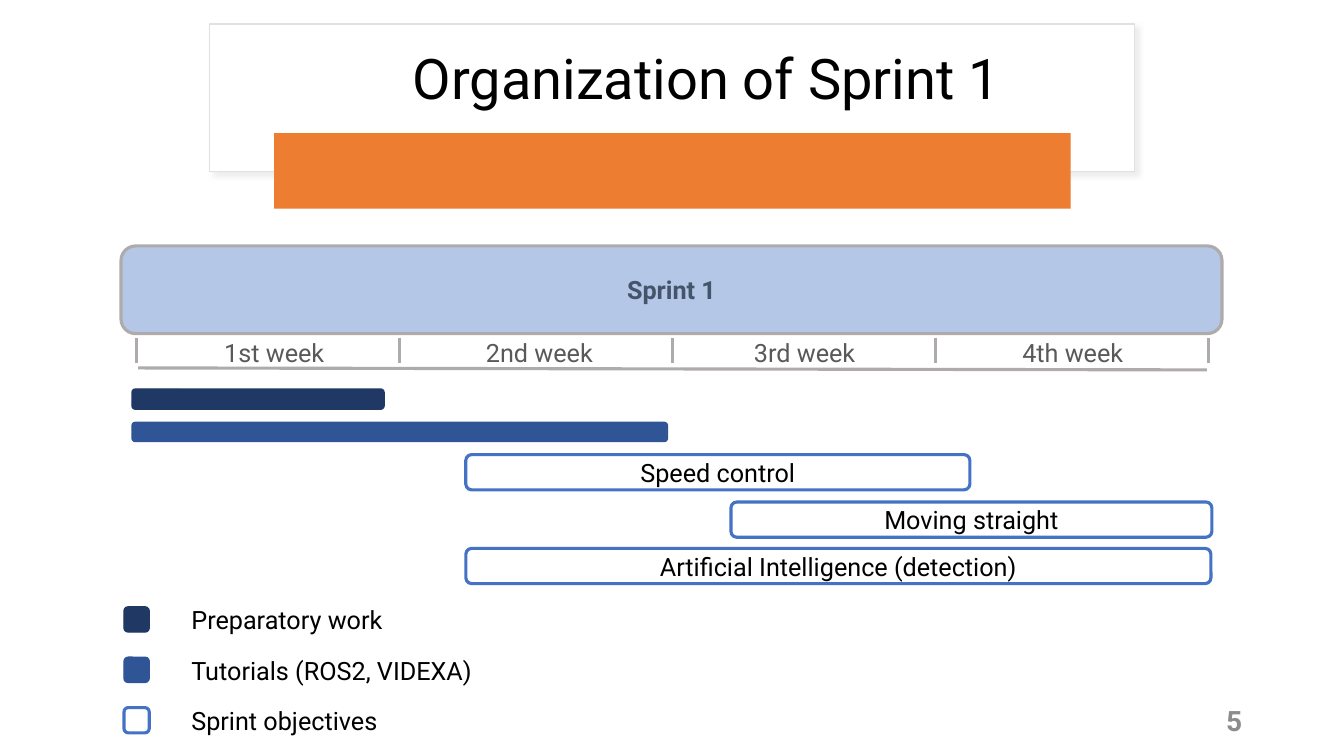
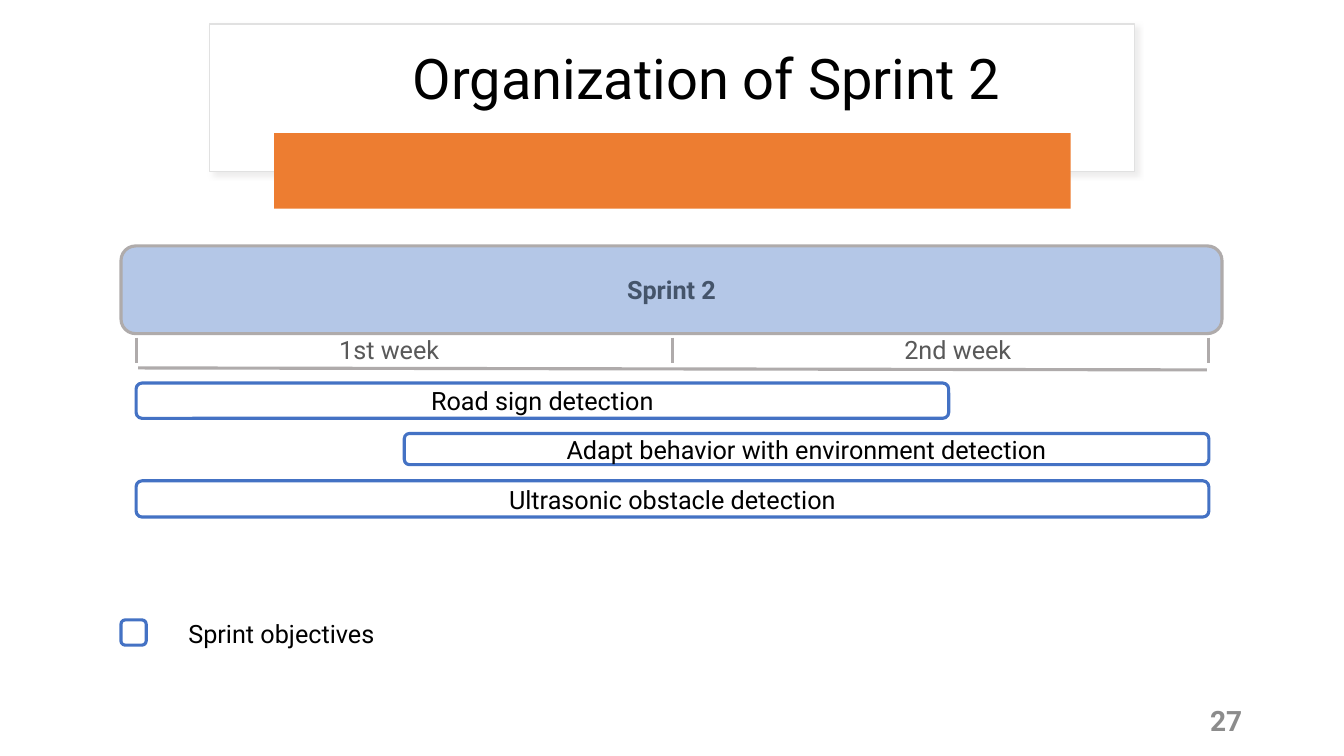
from typing import NamedTuple, Optional

from lxml import etree
from pptx import Presentation
from pptx.dml.color import RGBColor
from pptx.enum import shapes as kinds, text as enums
from pptx.oxml import ns
from pptx.util import Inches, Pt

FONT = "Roboto"
BLACK = RGBColor(0x00, 0x00, 0x00)
WHITE = RGBColor(0xFF, 0xFF, 0xFF)
FRAME = RGBColor(0xE1, 0xE1, 0xE1)
ORANGE = RGBColor(0xED, 0x7D, 0x31)
PALE = RGBColor(0xB4, 0xC7, 0xE7)
GREY = RGBColor(0xAF, 0xAB, 0xAB)
SLATE = RGBColor(0x44, 0x54, 0x6A)
WEEK = RGBColor(0x59, 0x59, 0x59)
PAGE = RGBColor(0x8C, 0x8C, 0x8C)
NAVY = RGBColor(0x20, 0x38, 0x64)
DENIM = RGBColor(0x2F, 0x55, 0x97)
BLUE = RGBColor(0x44, 0x72, 0xC4)

RECT = kinds.MSO_SHAPE.RECTANGLE
ROUND = kinds.MSO_SHAPE.ROUNDED_RECTANGLE
LEFT, CENTER, RIGHT = (enums.PP_ALIGN.LEFT, enums.PP_ALIGN.CENTER,
                       enums.PP_ALIGN.RIGHT)


class Box(NamedTuple):
    left: float
    top: float
    width: float
    height: float


class Look(NamedTuple):
    fill: Optional[RGBColor] = None
    line: Optional[RGBColor] = None
    weight: float = 1


class Style(NamedTuple):
    size: float = 18
    color: RGBColor = BLACK
    bold: bool = False
    align: enums.PP_ALIGN = CENTER


class Bar(NamedTuple):
    box: Box
    look: Look
    label: str = ""


class Key(NamedTuple):
    look: Look
    label: str


class Week(NamedTuple):
    label: str
    mid: float


class Sprint(NamedTuple):
    name: str
    page: int
    ticks: list[float]
    weeks: list[Week]
    week_top: float
    bars: list[Bar]
    key_left: float
    key_top: float
    keys: list[Key]


PREP = Look(NAVY, NAVY)
TUTOR = Look(DENIM, DENIM)
GOAL = Look(None, BLUE, 2.25)
BAND = Look(PALE, GREY, 2.25)
LABEL = Style()
KEY_SIDE, KEY_STEP = 0.25, 0.5

SPRINTS = [
    Sprint(
        "Sprint 1", 5, [1.35, 3.96, 6.67, 9.28, 11.99],
        [Week("1st week", 2.72), Week("2nd week", 5.35),
         Week("3rd week", 7.98), Week("4th week", 10.64)], 3.3,
        [Bar(Box(1.31, 3.86, 2.5, 0.2), PREP),
         Bar(Box(1.31, 4.19, 5.31, 0.19), TUTOR),
         Bar(Box(4.62, 4.51, 5, 0.35), GOAL, "Speed control"),
         Bar(Box(7.25, 4.98, 4.77, 0.35), GOAL, "Moving straight"),
         Bar(Box(4.62, 5.44, 7.39, 0.35), GOAL,
             "Artificial Intelligence (detection)")],
        1.23, 6.02,
        [Key(PREP, "Preparatory work"), Key(TUTOR, "Tutorials (ROS2, VIDEXA)"),
         Key(GOAL, "Sprint objectives")]),
    Sprint(
        "Sprint 2", 27, [1.35, 6.67, 11.99],
        [Week("1st week", 3.86), Week("2nd week", 9.5)], 3.27,
        [Bar(Box(1.35, 3.8, 8.06, 0.35), GOAL, "Road sign detection"),
         Bar(Box(4.01, 4.3, 7.98, 0.31), GOAL,
             "Adapt behavior with environment detection"),
         Bar(Box(1.35, 4.77, 10.64, 0.36), GOAL,
             "Ultrasonic obstacle detection")],
        1.2, 6.15, [Key(GOAL, "Sprint objectives")]),
]


def write(shape, words: str, style: Style, inset: float = 0.1) -> None:
    frame = shape.text_frame
    frame.word_wrap = True
    frame.vertical_anchor = enums.MSO_ANCHOR.MIDDLE
    frame.margin_left = frame.margin_right = Inches(inset)
    frame.margin_top = frame.margin_bottom = Inches(inset / 2)
    frame.text = words
    para = frame.paragraphs[0]
    para.alignment = style.align
    for run in para.runs:
        run.font.name = FONT
        run.font.size = Pt(style.size)
        run.font.bold = style.bold
        run.font.color.rgb = style.color


def note(slide, box: Box, words: str, style: Style):
    """Add a text box."""
    shape = slide.shapes.add_textbox(*map(Inches, box))
    write(shape, words, style)
    return shape


def block(slide, kind, box: Box, look: Look):
    shape = slide.shapes.add_shape(kind, *map(Inches, box))
    shape.shadow.inherit = False
    if look.fill is None:
        shape.fill.background()
    else:
        shape.fill.solid()
        shape.fill.fore_color.rgb = look.fill
    if look.line is None:
        shape.line.fill.background()
    else:
        shape.line.color.rgb = look.line
        shape.line.width = Pt(look.weight)
    return shape


def rule(slide, *ends: float) -> None:
    """Draw a grey line from x, y to x, y."""
    line = slide.shapes.add_connector(kinds.MSO_CONNECTOR.STRAIGHT,
                                      *map(Inches, ends))
    line.line.color.rgb = GREY
    line.line.width = Pt(2.25)
    etree.SubElement(line._element.spPr, ns.qn("a:effectLst"))


def shade(shape) -> None:
    """Give the shape a soft shadow to the lower right."""
    glow = shape._element.spPr.find(ns.qn("a:effectLst"))
    cast = etree.SubElement(glow, ns.qn("a:outerShdw"), blurRad=str(Pt(4)),
                            dist=str(Pt(3)), dir=str(45 * 60000))
    tint = etree.SubElement(cast, ns.qn("a:srgbClr"), val="C5C3C3")
    etree.SubElement(tint, ns.qn("a:alpha"), val="30000")


def head(slide, sprint: Sprint) -> None:
    """Draw the title, its frame and band, and the page number."""
    shade(block(slide, RECT, Box(2.08, 0.24, 9.17, 1.46), Look(WHITE, FRAME)))
    title = note(slide, Box(2.64, 0.33, 8.73, 0.95),
                 f"Organization of {sprint.name}", Style(40))
    title.text_frame.paragraphs[0].line_spacing = 0.9
    block(slide, RECT, Box(2.72, 1.32, 7.9, 0.75), Look(ORANGE))
    note(slide, Box(9.42, 6.95, 3, 0.4), str(sprint.page),
         Style(20, PAGE, True, RIGHT))


def scale(slide, sprint: Sprint) -> None:
    """Draw the sprint band and the week scale below it."""
    band = block(slide, ROUND, Box(1.2, 2.44, 10.92, 0.87), BAND)
    write(band, sprint.name, Style(18, SLATE, True))
    for x in sprint.ticks:
        rule(slide, x, 3.35, x, 3.6)
    for week in sprint.weeks:
        note(slide, Box(week.mid - 0.74, sprint.week_top, 1.48, 0.4),
             week.label, Style(18, WEEK))
    rule(slide, 1.37, 3.65, 11.97, 3.67)


def legend(slide, sprint: Sprint) -> None:
    for row, key in enumerate(sprint.keys):
        top = sprint.key_top + row * KEY_STEP
        block(slide, ROUND, Box(sprint.key_left, top, KEY_SIDE, KEY_SIDE),
              key.look)
        note(slide, Box(sprint.key_left + 0.57, top - 0.07, 9.8, 0.4),
             key.label, Style(align=LEFT))


def main() -> None:
    deck = Presentation()
    deck.slide_width, deck.slide_height = Inches(13.33), Inches(7.5)
    for sprint in SPRINTS:
        slide = deck.slides.add_slide(deck.slide_layouts[6])
        head(slide, sprint)
        scale(slide, sprint)
        for bar in sprint.bars:
            shape = block(slide, ROUND, bar.box, bar.look)
            if bar.label:
                write(shape, bar.label, LABEL, 0)
        legend(slide, sprint)
    deck.save("out.pptx")


if __name__ == "__main__":
    main()
